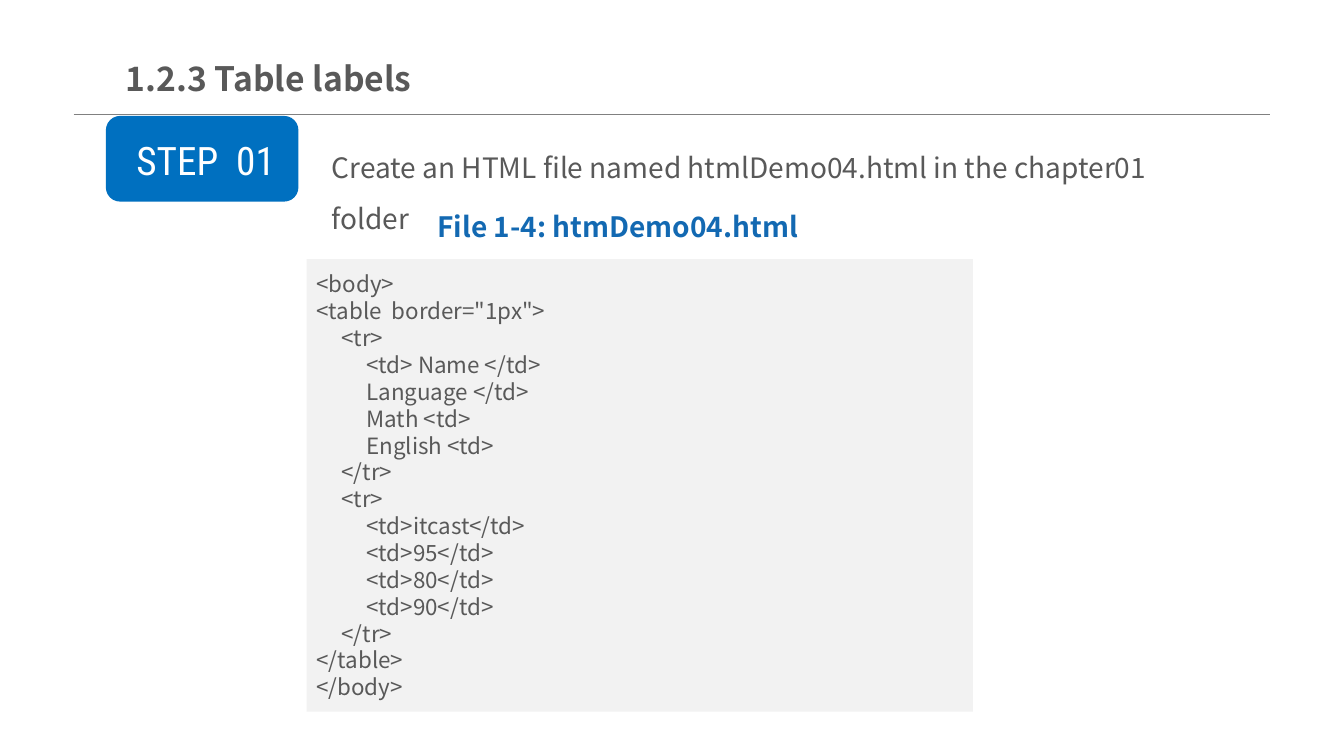
from dataclasses import dataclass
from pptx import Presentation
from pptx.dml.color import RGBColor as Rgb
from pptx.enum.shapes import MSO_CONNECTOR as Link, MSO_SHAPE as Kind
from pptx.enum.text import MSO_ANCHOR as Anchor, MSO_AUTO_SIZE as Fit, PP_ALIGN as Align
from pptx.oxml.ns import qn
from pptx.util import Pt

PX = 9144  # EMU per px, 100 px to the inch


@dataclass(frozen=True)
class Theme:
    sans: str = "Noto Sans CJK SC"
    slim: str = "Roboto Condensed"
    ink: str = "595959"
    blue: str = "0070C0"
    link: str = "1369B2"
    pale: str = "F2F2F2"
    rule: str = "808080"
    white: str = "FFFFFF"
    title: int = 24
    step: int = 28
    body: int = 20
    code: int = 16


LOOK = Theme()
INDENT = " " * 5

# Code lines with their depth
CODE = [
    (0, "<body>"),
    (0, '<table  border="1px">'),
    (1, "<tr>"),
    (2, "<td> Name </td>"),
    (2, "Language </td>"),
    (2, "Math <td>"),
    (2, "English <td>"),
    (1, "</tr>"),
    (1, "<tr>"),
    (2, "<td>itcast</td>"),
    (2, "<td>95</td>"),
    (2, "<td>80</td>"),
    (2, "<td>90</td>"),
    (1, "</tr>"),
    (0, "</table>"),
    (0, "</body>"),
]


def scale(*sizes):
    return [size * PX for size in sizes]


def write(frame, lines, size, color=LOOK.ink, face=LOOK.sans, bold=False,
          align=Align.LEFT, pitch=None):
    frame.word_wrap = True
    for i, line in enumerate(lines):
        para = frame.add_paragraph() if i else frame.paragraphs[0]
        para.alignment = align
        if pitch:
            para.line_spacing = Pt(pitch)
        run = para.add_run()
        run.text = line
        font = run.font
        font.name, font.size, font.bold = face, Pt(size), bold
        font.color.rgb = Rgb.from_string(color)


def label(slide, area, text, size, **style):
    frame = slide.shapes.add_textbox(*scale(*area)).text_frame
    write(frame, [text], size, **style)
    frame.auto_size = Fit.SHAPE_TO_FIT_TEXT
    return frame


def panel(slide, kind, area, color):
    shape = slide.shapes.add_shape(kind, *scale(*area))
    shape.shadow.inherit = False
    shape.fill.solid()
    shape.fill.fore_color.rgb = Rgb.from_string(color)
    shape.line.fill.background()
    return shape


def rule(slide, *ends):
    line = slide.shapes.add_connector(Link.STRAIGHT, *scale(*ends))
    line.line.color.rgb = Rgb.from_string(LOOK.rule)
    line.line.width = Pt(0.25)
    props = line._element.spPr
    props.append(props.makeelement(qn("a:effectLst"), {}))


def main():
    deck = Presentation()
    deck.slide_width, deck.slide_height = scale(1333, 750)
    slide = deck.slides.add_slide(deck.slide_layouts[6])

    # Heading rule and step badge
    rule(slide, 73, 113, 1260, 113)
    panel(slide, Kind.ROUNDED_RECTANGLE, (105, 115, 191, 85), LOOK.blue)
    label(slide, (115, 130, 178, 57), "STEP  01", LOOK.step,
          color=LOOK.white, face=LOOK.slim, align=Align.CENTER)

    # Task and file name
    label(slide, (319, 128, 868, 55),
          "Create an HTML file named htmlDemo04.html in the chapter01 folder",
          LOOK.body, pitch=36)
    label(slide, (424, 186, 494, 61), "File 1-4: htmDemo04.html", LOOK.body,
          color=LOOK.link, bold=True, pitch=36)

    # Code listing
    box = panel(slide, Kind.RECTANGLE, (304, 257, 661, 449), LOOK.pale)
    box.text_frame.vertical_anchor = Anchor.MIDDLE
    write(box.text_frame, [INDENT * depth + text for depth, text in CODE],
          LOOK.code, pitch=19.2)

    # Title
    title = label(slide, (125, 50, 426, 55), "1.2.3 Table labels", LOOK.title, bold=True)
    title.auto_size = Fit.NONE
    title.vertical_anchor = Anchor.MIDDLE
    title.margin_left = title.margin_right = 0
    title.margin_top = title.margin_bottom = 7 * PX

    deck.save("out.pptx")


if __name__ == "__main__":
    main()
